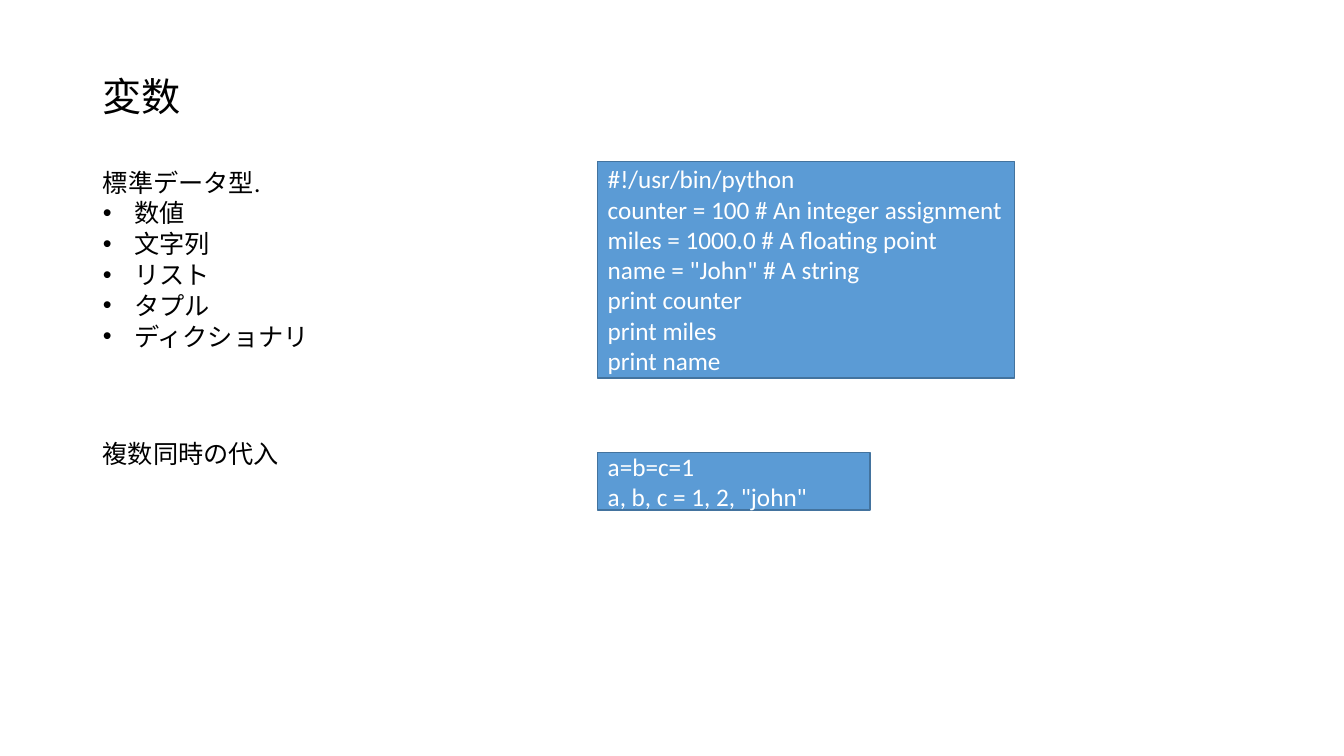
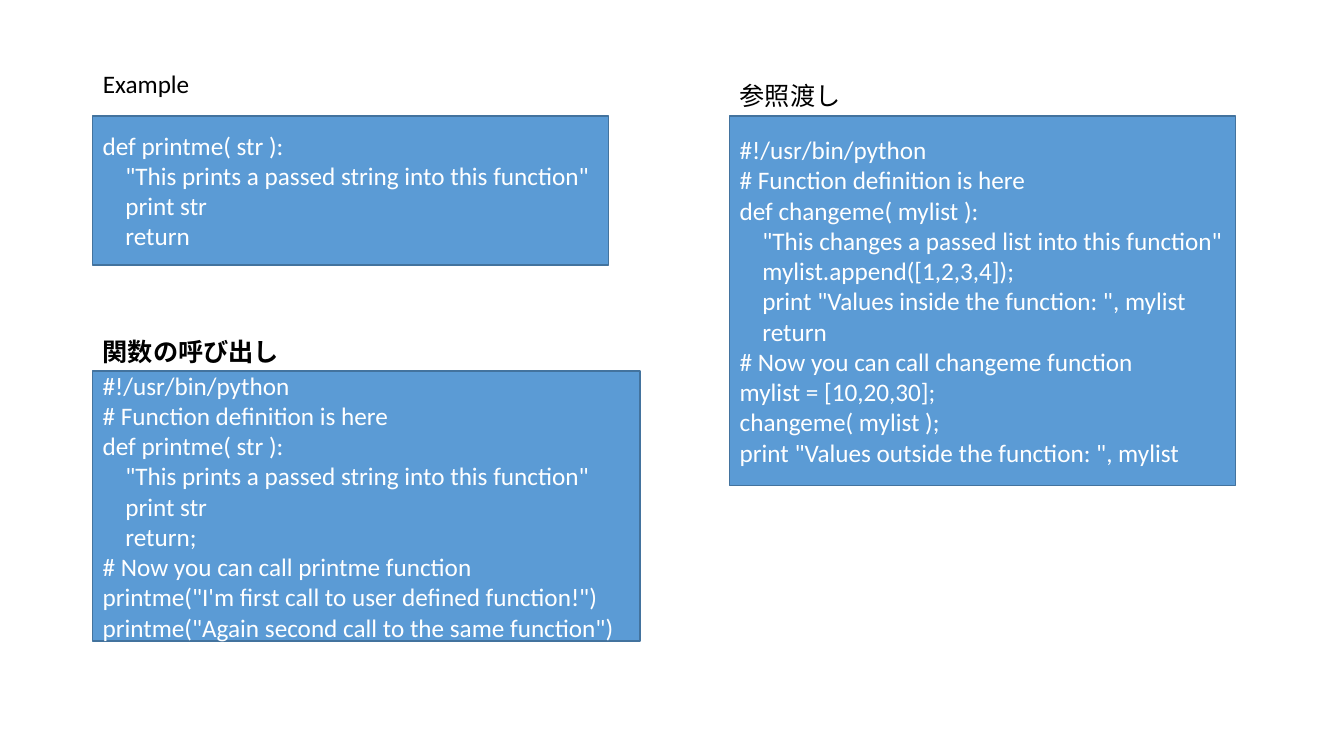
from lxml.etree import SubElement
from pptx import Presentation
from pptx.dml.color import RGBColor
from pptx.enum.shapes import MSO_SHAPE
from pptx.enum.text import MSO_ANCHOR, MSO_AUTO_SIZE, PP_ALIGN
from pptx.oxml.ns import qn
from pptx.util import Inches, Pt

WIDTH, HEIGHT = Inches(13.333), Inches(7.5)
COLORS = {"panel": "5B9BD5", "edge": "43739E", "code": "FFFFFF", "text": "000000"}
LATIN, JAPANESE = "Calibri", "Noto Sans CJK JP"
LEFT, MIDDLE, RIGHT = 6.9, 44.48, 54.3
LINE = 5.33

FORMATS = {
    "title": {"size": Pt(28), "bold": False},
    "heading": {"size": Pt(18), "bold": False},
    "strong": {"size": Pt(18), "bold": True},
    "code": {"size": Pt(18), "bold": False},
}
LEADING = {"title": Pt(34), "heading": Pt(22), "strong": Pt(22), "code": 1.0}
FRAME = {"word_wrap": True, "auto_size": MSO_AUTO_SIZE.NONE}
PARAGRAPH = {"alignment": PP_ALIGN.LEFT, "space_before": Pt(0), "space_after": Pt(0)}

DATA_TYPES = ["標準データ型.", "数値", "文字列", "リスト", "タプル", "ディクショナリ"]
ASSIGNMENT = """#!/usr/bin/python
counter = 100 # An integer assignment miles = 1000.0 # A floating point
name = "John" # A string
print counter
print miles
print name"""
MULTIPLE = """a=b=c=1
a, b, c = 1, 2, "john\""""
PRINTME = """def printme( str ):
    "This prints a passed string into this function"
    print str
    return"""
CALLING = f"""#!/usr/bin/python
# Function definition is here
{PRINTME};
# Now you can call printme function
printme("I'm first call to user defined function!")
printme("Again second call to the same function")"""
REFERENCE = """#!/usr/bin/python
# Function definition is here
def changeme( mylist ):
    "This changes a passed list into this function"
    mylist.append([1,2,3,4]);
    print "Values inside the function: ", mylist
    return
# Now you can call changeme function
mylist = [10,20,30];
changeme( mylist );
print "Values outside the function: ", mylist"""


def assign(target, values):
    """Set each named attribute of the target."""
    for name, value in values.items():
        setattr(target, name, value)


def area(left, top, width, height):
    """Turn percentages of the slide into a position and size."""
    shares = zip((left, top, width, height), (WIDTH, HEIGHT, WIDTH, HEIGHT))
    return [round(size * share / 100) for share, size in shares]


def move(shape, box):
    """Place a placeholder in a box given in percentages."""
    assign(shape, dict(zip(("left", "top", "width", "height"), area(*box))))


def write(shape, lines, style, color="text", anchor=MSO_ANCHOR.TOP):
    """Fill a shape with one styled paragraph for each line."""
    frame = shape.text_frame
    assign(frame, {**FRAME, "vertical_anchor": anchor})
    for index, line in enumerate(lines):
        para = frame.paragraphs[0] if index == 0 else frame.add_paragraph()
        assign(para, {**PARAGRAPH, "line_spacing": LEADING[style]})
        span = para.add_run()
        span.text = line
        assign(span.font, {**FORMATS[style], "name": LATIN})
        span.font.color.rgb = RGBColor.from_string(COLORS[color])
        SubElement(span.font._element, qn("a:ea"), typeface=JAPANESE)


def title(page, text, box, style):
    """Move and fill the title placeholder."""
    move(page.shapes.title, box)
    write(page.shapes.title, [text], style)


def bullet_list(page, lines, box):
    """Fill the body placeholder with a lead line and bullets below it."""
    body = page.placeholders[1]
    move(body, box)
    write(body, lines, "heading")
    for index, para in enumerate(body.text_frame.paragraphs):
        properties = para._p.get_or_add_pPr()
        indent = Inches(0.31) if index else 0
        properties.set("marL", str(indent))
        properties.set("indent", str(-indent))
        if index:
            SubElement(properties, qn("a:buFont"), typeface="Arial")
            SubElement(properties, qn("a:buChar"), char="•")
        else:
            SubElement(properties, qn("a:buNone"))


def heading(page, text, box, style="heading"):
    """Add a section heading."""
    write(page.shapes.add_textbox(*area(*box)), [text], style)


def code_panel(page, code, box):
    """Add a filled panel of code."""
    panel = page.shapes.add_shape(MSO_SHAPE.RECTANGLE, *area(*box))
    panel.shadow.inherit = False
    panel.fill.solid()
    panel.fill.fore_color.rgb = RGBColor.from_string(COLORS["panel"])
    panel.line.color.rgb = RGBColor.from_string(COLORS["edge"])
    panel.line.width = Pt(1)
    write(panel, code.split("\n"), "code", "code", MSO_ANCHOR.MIDDLE)


def variables_slide(deck):
    """Build the slide on variables and assignment."""
    page = deck.slides.add_slide(deck.slide_layouts[1])
    title(page, "変数", (LEFT, 8.8, 8, 7.6), "title")
    bullet_list(page, DATA_TYPES, (LEFT, 21.33, 17.5, 29.6))
    code_panel(page, ASSIGNMENT, (MIDDLE, 21.33, 31, 28.67))
    heading(page, "複数同時の代入", (LEFT, 57.2, 15, LINE))
    code_panel(page, MULTIPLE, (MIDDLE, 59.87, 20.25, 7.6))


def functions_slide(deck):
    """Build the slide on defining and calling functions."""
    page = deck.slides.add_slide(deck.slide_layouts[5])
    title(page, "Example", (LEFT, 8.27, 8.5, LINE), "heading")
    code_panel(page, PRINTME, (LEFT, 15.33, 38.4, 19.73))
    heading(page, "関数の呼び出し", (LEFT, 43.73, 15, LINE), "strong")
    code_panel(page, CALLING, (LEFT, 49.07, 40.73, 35.73))
    heading(page, "参照渡し", (RIGHT, 9.87, 9.5, LINE))
    code_panel(page, REFERENCE, (RIGHT, 15.33, 37.65, 48.93))


def main():
    """Build and save the deck."""
    deck = Presentation()
    assign(deck, {"slide_width": WIDTH, "slide_height": HEIGHT})
    variables_slide(deck)
    functions_slide(deck)
    deck.save("out.pptx")


if __name__ == "__main__":
    main()
